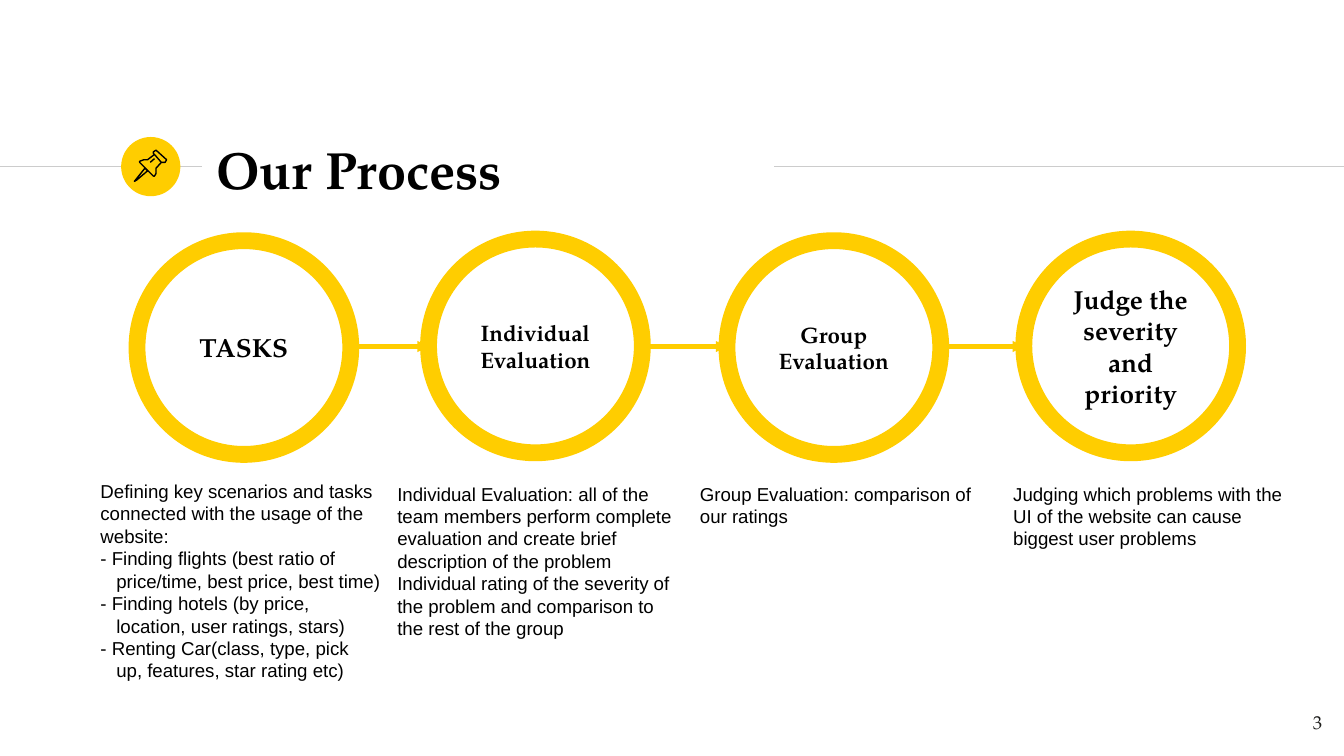
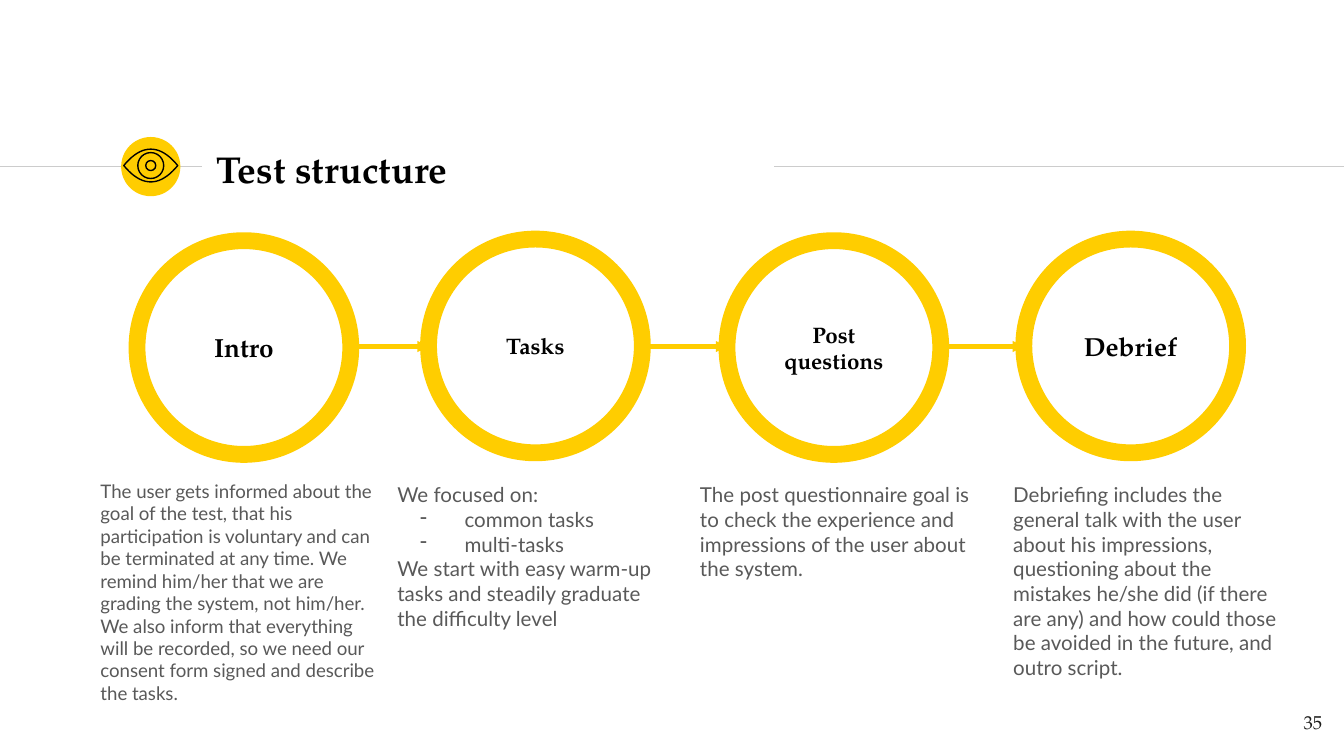
"""Build two process slides, each a chain of four rings with notes below."""
from dataclasses import dataclass
from typing import Optional

from lxml.etree import SubElement
from pptx import Presentation
from pptx.dml.color import RGBColor as Rgb
from pptx.enum.shapes import MSO_CONNECTOR as Link, MSO_SHAPE as Kind
from pptx.enum.text import MSO_ANCHOR as Anchor, MSO_AUTO_SIZE as Fit, PP_ALIGN as Align
from pptx.oxml.ns import qn
from pptx.util import Cm, Pt

HUES = {
    "gold": "FFCD00",
    "rule": "CCCCCC",
    "black": "000000",
    "gray": "595959",
    "page": "1D1D1B",
}
SERIF = "TeX Gyre Pagella"
RING = 4.04
AXIS = 6.55
HUB = (2.85, 3.15)


@dataclass(frozen=True)
class Style:
    font: str
    size: float
    hue: str
    bold: bool = False
    align: Align = Align.LEFT


@dataclass(frozen=True)
class Item:
    text: str
    margin: float = 0
    hang: float = 0
    dot: str = ""


@dataclass(frozen=True)
class Step:
    label: str
    size: int
    note: tuple[Item, ...]
    style: Style
    width: float = 5.72


@dataclass(frozen=True)
class Page:
    title: str
    size: int
    number: str
    icon: str
    steps: tuple[Step, ...]


@dataclass(frozen=True)
class Slot:
    ring: tuple[float, float]
    note: tuple[float, float]
    height: float


@dataclass(frozen=True)
class Stroke:
    points: tuple[tuple[float, float], ...]
    closed: bool = True


SLOTS = (
    Slot((2.59, 4.55), (1.65, 8.94), 4.11),
    Slot((8.1, 4.52), (7.26, 8.99), 3.68),
    Slot((13.74, 4.55), (12.98, 8.99), 1.12),
    Slot((19.35, 4.52), (18.9, 8.99), 1.55),
)
ARROWS = ((6.6, 8.1), (12.27, 13.74), (17.86, 19.35))
RULES = ((0, 3.81), (14.63, 25.4))

PIN = (
    Stroke(((2.74, 3.18), (2.54, 3.43), (2.59, 3.4), (2.79, 3.23))),
    Stroke(((2.92, 2.92), (3.05, 3.07), (3.12, 3.07), (3.15, 3.02),
            (2.95, 2.84), (2.9, 2.87), (2.9, 2.9))),
    Stroke(((2.92, 2.92), (2.79, 3.02), (2.72, 3.02), (2.64, 3.05), (2.64, 3.07),
            (2.9, 3.33), (2.92, 3.33), (2.95, 3.28), (2.95, 3.18), (3.05, 3.07)), False),
    Stroke(((2.84, 3.07), (2.92, 3)), False),
)

PLAIN = Style("Arial", 10, "black")
SMALL = Style("Lato", 10, "gray")
LARGE = Style("Lato", 11, "gray")

PAGES = (
    Page("Our Process", 28, "3", "pin", (
        Step("TASKS", 14, (
            Item("Defining key scenarios and tasks connected with the usage of the website:"),
            Item("- Finding flights (best ratio of\vprice/time, best price, best time)", 0.3, 0.3),
            Item("- Finding hotels (by price,\vlocation, user ratings, stars)", 0.3, 0.3),
            Item("- Renting Car(class, type, pick\vup, features, star rating etc)", 0.3, 0.3),
        ), PLAIN, 5.92),
        Step("Individual Evaluation", 12, (
            Item("Individual Evaluation: all of the team members perform complete "
                 "evaluation and create brief description of the problem"),
            Item("Individual rating of the severity of the problem and comparison "
                 "to the rest of the group"),
        ), PLAIN),
        Step("Group\nEvaluation", 12, (
            Item("Group Evaluation: comparison of our ratings"),
        ), PLAIN),
        Step("Judge the severity and priority", 14, (
            Item("Judging which problems with the UI of the website can cause "
                 "biggest user problems"),
        ), PLAIN),
    )),
    Page("Test structure", 20, "35", "eye", (
        Step("Intro", 14, (
            Item("The user gets informed about the goal of the test, that his participation "
                 "is voluntary and can be terminated at any time. We remind him/her that "
                 "we are grading the system, not him/her."),
            Item("We also inform that everything will be recorded, so we need our consent "
                 "form signed and describe the tasks."),
        ), SMALL),
        Step("Tasks", 12, (
            Item("We focused on:"),
            Item("common tasks", 1.27, 0.84, "-"),
            Item("multi-tasks", 1.27, 0.84, "-"),
            Item("We start with easy warm-up tasks and steadily graduate the difficulty level"),
        ), LARGE),
        Step("Post\nquestions", 12, (
            Item("The post questionnaire goal is to check the experience and impressions "
                 "of the user about the system."),
        ), LARGE),
        Step("Debrief", 14, (
            Item("Debriefing includes the general talk with the user about his impressions, "
                 "questioning about the mistakes he/she did (if there are any) and how could "
                 "those be avoided in the future, and outro script."),
        ), LARGE),
    )),
)


def tint(name: str) -> Rgb:
    """Return a named colour."""
    return Rgb.from_string(HUES[name])


def place(shape, left: float, top: float, width: float, height: float) -> None:
    """Move and size a shape in centimetres."""
    shape.left, shape.top = Cm(left), Cm(top)
    shape.width, shape.height = Cm(width), Cm(height)


def dress(frame, style: Style, inset: float = 0.25, anchor: Anchor = Anchor.TOP) -> None:
    """Format a text frame and every run in it."""
    frame.word_wrap = True
    frame.auto_size = Fit.NONE
    frame.vertical_anchor = anchor
    frame.margin_left = frame.margin_right = Cm(0.25)
    frame.margin_top = frame.margin_bottom = Cm(inset)
    for para in frame.paragraphs:
        para.alignment = style.align
        for run in para.runs:
            run.font.name = style.font
            run.font.size = Pt(style.size)
            run.font.bold = style.bold
            run.font.color.rgb = tint(style.hue)


def indent(para, item: Item) -> None:
    """Give a paragraph its hanging indent and bullet."""
    props = para._p.get_or_add_pPr()
    props.set("marL", str(Cm(item.margin)))
    props.set("indent", str(-Cm(item.hang)))
    if item.dot:
        hue = SubElement(props, qn("a:buClr"))
        SubElement(hue, qn("a:srgbClr")).set("val", HUES["gray"])
        SubElement(props, qn("a:buChar")).set("char", item.dot)


def draw_line(slide, start: float, end: float, level: float, hue: str,
              weight: float, arrow: bool = False) -> None:
    """Draw a level line, with an arrowhead if asked."""
    line = slide.shapes.add_connector(Link.STRAIGHT, Cm(start), Cm(level), Cm(end), Cm(level))
    line.line.color.rgb = tint(hue)
    line.line.width = Pt(weight)
    if arrow:
        head = SubElement(line.line._get_or_add_ln(), qn("a:tailEnd"))
        for key, value in (("type", "triangle"), ("w", "sm"), ("len", "sm")):
            head.set(key, value)
    SubElement(line._element.spPr, qn("a:effectLst"))


def outline(shape, hue: str, weight: float) -> None:
    """Leave a shape hollow with a coloured edge."""
    shape.shadow.inherit = False
    shape.fill.background()
    shape.line.color.rgb = tint(hue)
    shape.line.width = Pt(weight)


def draw_disc(slide, left: float, top: float, size: float, hue: str,
              weight: Optional[float] = None):
    """Draw a circle, filled unless an edge weight is given."""
    disc = slide.shapes.add_shape(Kind.OVAL, Cm(left), Cm(top), Cm(size), Cm(size))
    if weight:
        outline(disc, hue, weight)
    else:
        disc.shadow.inherit = False
        disc.fill.solid()
        disc.fill.fore_color.rgb = tint(hue)
        disc.line.fill.background()
    return disc


def trace(slide, stroke: Stroke) -> None:
    """Draw one thin black icon stroke."""
    first, *rest = [(Cm(x), Cm(y)) for x, y in stroke.points]
    pen = slide.shapes.build_freeform(*first)
    pen.add_line_segments(rest, close=stroke.closed)
    outline(pen.convert_to_shape(), "black", 0.75)


def draw_pin(slide) -> None:
    """Draw the pushpin icon."""
    for stroke in PIN:
        trace(slide, stroke)


def draw_eye(slide) -> None:
    """Draw the eye icon from a lens and two circles."""
    x, y = HUB[0], HUB[1] - 0.02
    steps = [n / 10 for n in range(-10, 11)]
    upper = [(x + 0.51 * t, y - 0.31 * (1 - t * t)) for t in steps]
    lower = [(px, 2 * y - py) for px, py in upper[-2:0:-1]]
    trace(slide, Stroke(tuple(upper + lower)))
    for size in (0.19, 0.49):
        draw_disc(slide, x - size / 2, y - size / 2, size, "black", 0.75)


ICONS = {"pin": draw_pin, "eye": draw_eye}


def write(slide, left: float, top: float, width: float, height: float,
          items: tuple[Item, ...], style: Style, inset: float) -> None:
    """Add a text box with one paragraph per item."""
    box = slide.shapes.add_textbox(0, 0, 0, 0)
    place(box, left, top, width, height)
    frame = box.text_frame
    frame.text = "\n".join(item.text for item in items)
    for para, item in zip(frame.paragraphs, items):
        if item.margin:
            indent(para, item)
    dress(frame, style, inset)


def add_frame(slide, page: Page) -> None:
    """Draw the title, rules, icon and page number."""
    for start, end in RULES:
        draw_line(slide, start, end, HUB[1], "rule", 0.75)
    draw_disc(slide, HUB[0] - 0.56, HUB[1] - 0.56, 1.12, "gold")
    title = slide.shapes.title
    place(title, 3.84, 2.57, 10.77, 1.22)
    title.text_frame.text = page.title
    dress(title.text_frame, Style(SERIF, page.size, "black", True), anchor=Anchor.MIDDLE)
    ICONS[page.icon](slide)
    write(slide, 23.72, 13.18, 1.52, 1.09, (Item(page.number),),
          Style(SERIF, 10, "page", align=Align.RIGHT), 0.25)


def add_step(slide, step: Step, slot: Slot) -> None:
    """Draw one ring with its label and note."""
    ring = draw_disc(slide, *slot.ring, RING, "gold", 9)
    ring.text_frame.text = step.label
    dress(ring.text_frame, Style(SERIF, step.size, "black", True, Align.CENTER),
          anchor=Anchor.MIDDLE)
    write(slide, *slot.note, step.width, slot.height, step.note, step.style, 0.13)


def main() -> None:
    """Build and save the deck."""
    deck = Presentation()
    deck.slide_width, deck.slide_height = Cm(25.4), Cm(14.29)
    for page in PAGES:
        slide = deck.slides.add_slide(deck.slide_layouts[5])
        add_frame(slide, page)
        for start, end in ARROWS:
            draw_line(slide, start, end, AXIS, "gold", 3, True)
        for step, slot in zip(page.steps, SLOTS):
            add_step(slide, step, slot)
    deck.save("out.pptx")


if __name__ == "__main__":
    main()
